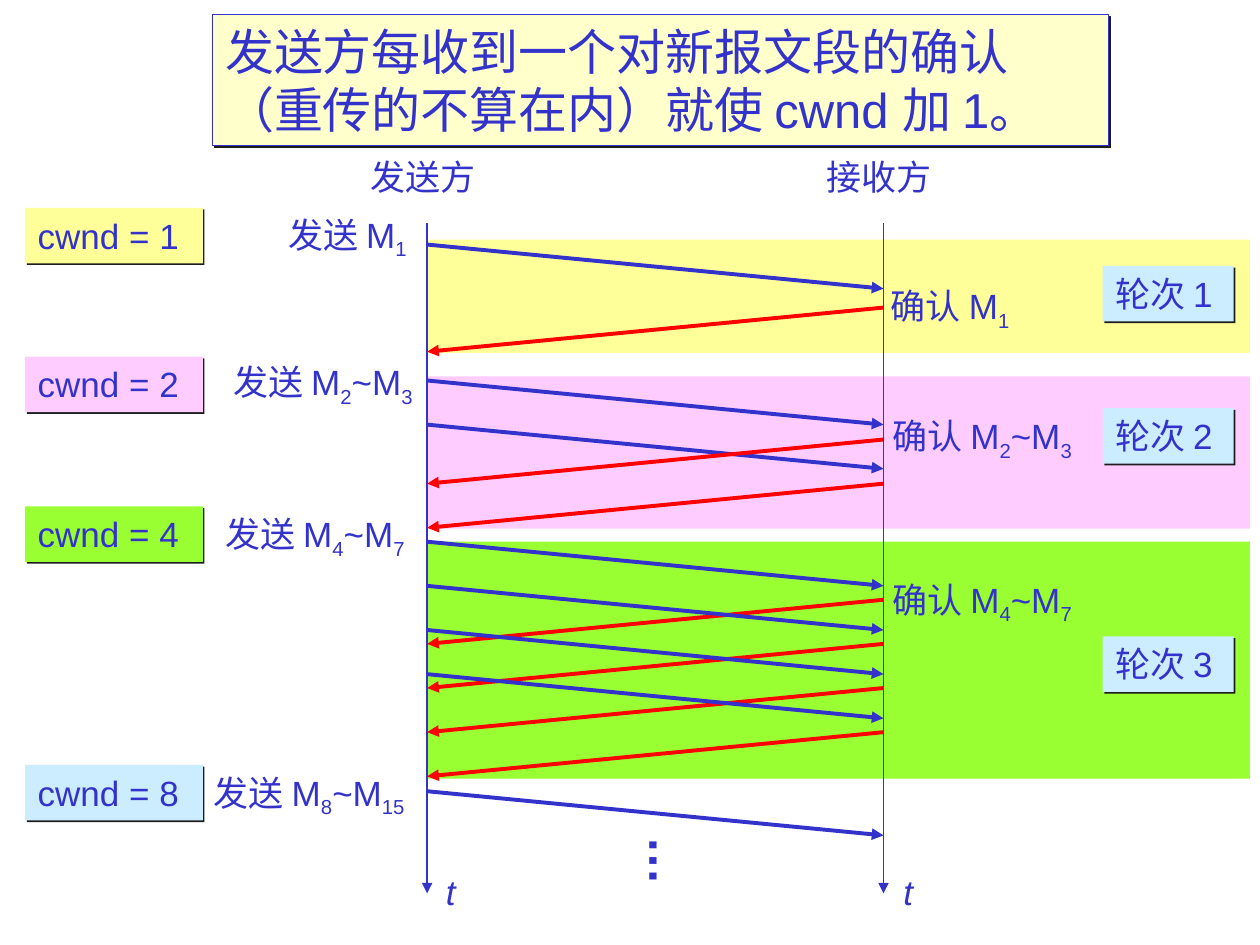
"""Build a slide on slow start, where cwnd doubles in every round."""
from typing import NamedTuple, Optional

from lxml import etree
from pptx import Presentation
from pptx import util as u
from pptx.dml.color import RGBColor
from pptx.enum import shapes, text
from pptx.oxml import ns

BLUE = RGBColor(0x33, 0x33, 0xCC)
RED = RGBColor(0xFF, 0x00, 0x00)
YELLOW = RGBColor(0xFF, 0xFF, 0x99)
CREAM = RGBColor(0xFF, 0xFF, 0xCC)
PINK = RGBColor(0xFF, 0xCC, 0xFF)
GREEN = RGBColor(0x99, 0xFF, 0x33)
SKY = RGBColor(0xCC, 0xEC, 0xFF)
SHADE = RGBColor(0x1C, 0x1C, 0x1C)

SEND_X, RECV_X = 8.61, 17.81
STEP = 0.89
BOX_H, SUB_H = 1.12, 1.22


class Band(NamedTuple):
    top: float
    height: float
    fill: RGBColor


class Label(NamedTuple):
    words: str
    left: float
    top: float
    width: float
    height: float = SUB_H
    size: int = 20
    bold: bool = False
    slant: bool = False
    turn: int = 0


class Card(NamedTuple):
    label: Label
    fill: RGBColor
    edge: Optional[RGBColor] = None


class Flow(NamedTuple):
    top: float
    count: int
    back: bool = False


BANDS = [Band(7.59, 3.07, PINK), Band(10.92, 4.78, GREEN), Band(4.83, 2.29, YELLOW)]

FLOWS = [
    Flow(4.93, 1), Flow(6.2, 1, True),
    Flow(7.67, 2), Flow(8.86, 2, True),
    Flow(12.09, 4, True), Flow(10.92, 4),
    Flow(15.95, 1),
]

LABELS = [
    Label("发送方", 7.21, 3.02, 2.62, BOX_H),
    Label("接收方", 16.41, 3.02, 2.62, BOX_H),
    Label("发送 M|1", 5.56, 4.17, 3.05),
    Label("发送 M|2|~M|3", 4.45, 7.14, 4.29),
    Label("发送 M|4|~M|7", 4.29, 10.21, 4.29),
    Label("发送 M|8|~M|15", 4.06, 15.42, 4.52),
    Label(" 确认 M|1", 17.55, 5.61, 3.23),
    Label(" 确认 M|2|~M|3", 17.58, 8.23, 4.57),
    Label(" 确认 M|4|~M|7", 17.58, 11.53, 4.57),
    Label("…", 12.73, 16.64, 1.5, 1.45, 28, bold=True, turn=90),
    Label("t", 8.74, 17.42, 0.71, 1.09, slant=True),
    Label("t", 17.96, 17.42, 0.71, 1.09, slant=True),
]

WINDOWS = [(4.19, YELLOW), (7.19, PINK), (10.21, GREEN), (15.42, SKY)]
ROUNDS = [5.36, 8.23, 12.83]
TITLE = Label("发送方每收到一个对新报文段的确认\n（重传的不算在内）就使 cwnd 加 1。",
              4.29, 0.3, 18.06, 2.64, 28)

CARDS = [
    *(Card(Label(f"cwnd = {2 ** n}", 0.51, top, 3.58, BOX_H), fill)
      for n, (top, fill) in enumerate(WINDOWS)),
    *(Card(Label(f"轮次 {n}", 22.23, top, 2.64, BOX_H), SKY)
      for n, top in enumerate(ROUNDS, 1)),
    Card(TITLE, CREAM, BLUE),
]


def add_rect(slide, left: float, top: float, width: float, height: float, fill: RGBColor):
    """Add a filled rectangle without outline or shadow."""
    rect = slide.shapes.add_shape(shapes.MSO_SHAPE.RECTANGLE, u.Cm(left), u.Cm(top),
                                  u.Cm(width), u.Cm(height))
    rect.shadow.inherit = False
    rect.fill.solid()
    rect.fill.fore_color.rgb = fill
    rect.line.fill.background()
    return rect


def write(shape, label: Label) -> None:
    """Write the words of a label, lowering every second part between bars."""
    frame = shape.text_frame
    frame.word_wrap = False
    frame.auto_size = text.MSO_AUTO_SIZE.SHAPE_TO_FIT_TEXT
    frame.vertical_anchor = text.MSO_ANCHOR.TOP
    for row, line in enumerate(label.words.split("\n")):
        para = frame.add_paragraph() if row else frame.paragraphs[0]
        para.alignment = text.PP_ALIGN.LEFT
        font = para.font
        font.name, font.size = "Arial", u.Pt(label.size)
        font.bold, font.italic = label.bold, label.slant
        font.color.rgb = BLUE
        for part, words in enumerate(line.split("|")):
            run = para.add_run()
            run.text = words
            if part % 2:
                run.font._element.set("baseline", "-25000")


def add_label(slide, label: Label) -> None:
    """Add a plain text box."""
    box = slide.shapes.add_textbox(u.Cm(label.left), u.Cm(label.top),
                                   u.Cm(label.width), u.Cm(label.height))
    box.rotation = label.turn
    write(box, label)


def add_card(slide, card: Card) -> None:
    """Add a filled box with text and a hard shadow."""
    label = card.label
    rect = add_rect(slide, label.left, label.top, label.width, label.height, card.fill)
    if card.edge is not None:
        rect.line.color.rgb = card.edge
        rect.line.width = u.Pt(0.75)
    effects = rect._element.spPr.find(ns.qn("a:effectLst"))
    shadow = etree.SubElement(effects, ns.qn("a:outerShdw"), blurRad="0",
                              dist=str(u.Pt(1.4)), dir="2700000", algn="ctr", rotWithShape="0")
    etree.SubElement(shadow, ns.qn("a:srgbClr"), val=str(SHADE))
    write(rect, label)


def add_arrow(slide, x1: float, y1: float, x2: float, y2: float,
              color: RGBColor, width: float) -> None:
    """Add a straight line with an arrowhead at its end."""
    arrow = slide.shapes.add_connector(shapes.MSO_CONNECTOR.STRAIGHT, u.Cm(x1), u.Cm(y1),
                                       u.Cm(x2), u.Cm(y2))
    arrow.line.color.rgb = color
    arrow.line.width = u.Pt(width)
    etree.SubElement(arrow.line._get_or_add_ln(), ns.qn("a:tailEnd"), type="triangle")
    etree.SubElement(arrow._element.spPr, ns.qn("a:effectLst"))


def add_flow(slide, flow: Flow) -> None:
    """Add evenly spaced arrows between the two time lines."""
    start, end, color = (RECV_X, SEND_X, RED) if flow.back else (SEND_X, RECV_X, BLUE)
    for n in range(flow.count):
        top = flow.top + n * STEP
        add_arrow(slide, start, top, end, top + STEP, color, 2.25)


def main() -> None:
    """Build and save the slide."""
    deck = Presentation()
    deck.slide_width, deck.slide_height = u.Cm(25.4), u.Cm(19.05)
    slide = deck.slides.add_slide(deck.slide_layouts[6])
    for band in BANDS:
        add_rect(slide, SEND_X, band.top, 16.59, band.height, band.fill)
    for flow in FLOWS:
        add_flow(slide, flow)
    for x in (SEND_X, RECV_X):
        add_arrow(slide, x, 4.5, x, 18.01, BLUE, 0.75)
    for label in LABELS:
        add_label(slide, label)
    for card in CARDS:
        add_card(slide, card)
    deck.save("out.pptx")


if __name__ == "__main__":
    main()
